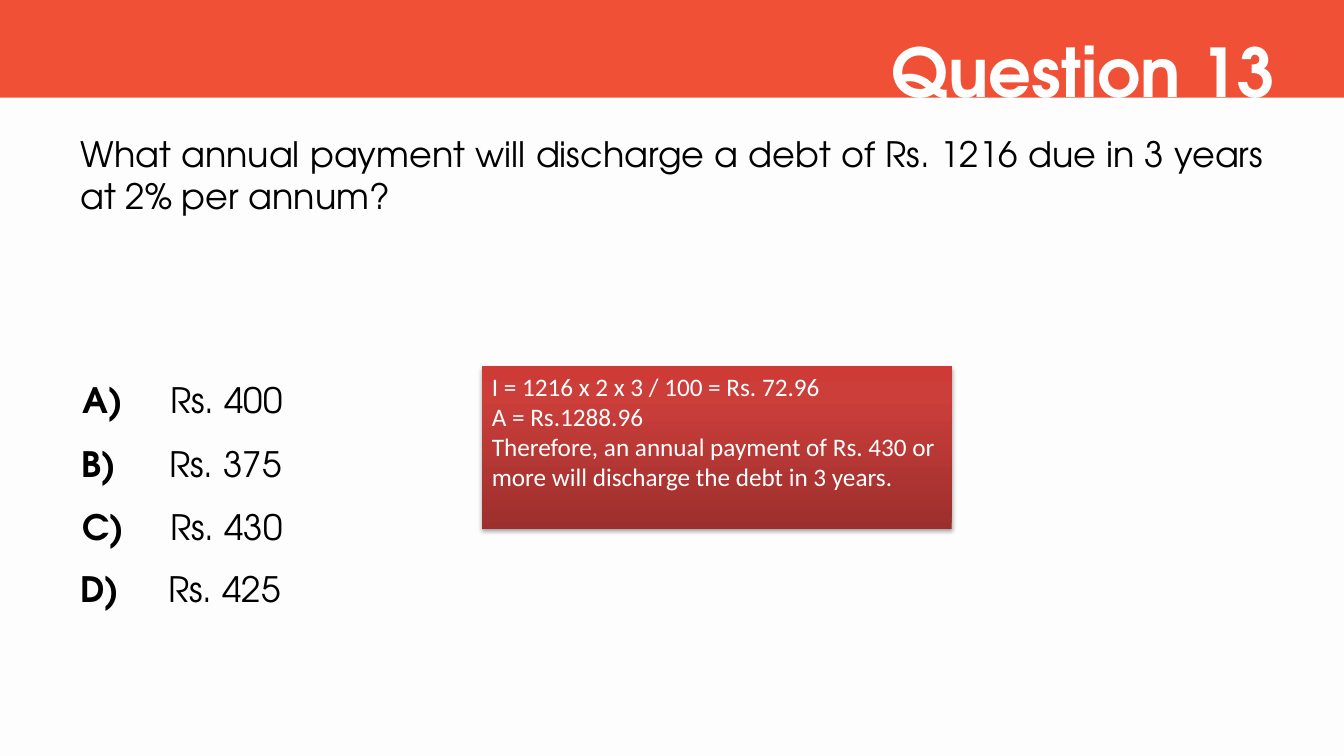
from copy import deepcopy

from lxml import etree
from pptx import Presentation
from pptx.dml.color import RGBColor
from pptx.enum.shapes import MSO_SHAPE
from pptx.enum.text import MSO_ANCHOR, MSO_AUTO_SIZE, PP_ALIGN
from pptx.oxml.ns import qn
from pptx.util import Inches, Pt

RECTANGLE = MSO_SHAPE.RECTANGLE
TOP = MSO_ANCHOR.TOP
NO_AUTOFIT = MSO_AUTO_SIZE.NONE
LEFT, RIGHT, JUSTIFY = PP_ALIGN.LEFT, PP_ALIGN.RIGHT, PP_ALIGN.JUSTIFY

HEADING_FONT = "TeX Gyre Adventor"
BODY_FONT = "Calibri"
BLACK, WHITE = "000000", "FFFFFF"
TITLE_ONLY = 5

QUESTION = ("What annual payment will discharge a debt of Rs. 1216 "
            "due in 3 years at 2% per annum?")
OPTIONS = [
    ("A)", "Rs. 400", 0.72, 1.59, 3.5),
    ("B)", "Rs. 375", 0.71, 1.58, 4.13),
    ("C)", "Rs. 430", 0.72, 1.59, 4.76),
    ("D)", "Rs. 425", 0.7, 1.57, 5.37),
]
SOLUTION = ("I = 1216 x 2 x 3 / 100 = Rs. 72.96\n"
            "A = Rs.1288.96\n"
            "Therefore, an annual payment of Rs. 430 or more "
            "will discharge the debt in 3 years.")
SOLUTION_STOPS = [(0, "9C2F2D"), (0.8, "CB3E3A"), (1, "CE3B37")]


def color(value):
    """Return the colour for a hex string."""
    return RGBColor.from_string(value)


def write(shape, text, size, font=HEADING_FONT, text_color=BLACK, bold=False,
          align=LEFT, line_spacing=1.0):
    """Put one formatted paragraph at the top of a shape."""
    frame = shape.text_frame
    frame.word_wrap = True
    frame.auto_size = NO_AUTOFIT
    frame.vertical_anchor = TOP
    paragraph = frame.paragraphs[0]
    paragraph.text = text
    paragraph.alignment = align
    paragraph.line_spacing = line_spacing
    paragraph.font.name = font
    paragraph.font.size = Pt(size)
    paragraph.font.bold = bold
    paragraph.font.color.rgb = color(text_color)


def add_text(slide, left, top, width, height, text, **style):
    """Add a text box in the size of the question and its options."""
    box = slide.shapes.add_textbox(Inches(left), Inches(top), Inches(width), Inches(height))
    write(box, text, 25, **style)


def add_rectangle(slide, left, top, width, height):
    """Add a rectangle without outline or shadow."""
    shape = slide.shapes.add_shape(
        RECTANGLE, Inches(left), Inches(top), Inches(width), Inches(height))
    shape.shadow.inherit = False
    shape.line.fill.background()
    return shape


def set_gradient(shape, stops):
    """Fill a shape with a three-stop gradient running upwards."""
    shape.fill.gradient()
    shape.fill.gradient_angle = 90
    stop_list = shape._element.spPr.find(".//" + qn("a:gsLst"))
    stop_list.append(deepcopy(stop_list[-1]))
    for stop, (position, value) in zip(shape.fill.gradient_stops, stops):
        stop.position = position
        stop.color.rgb = color(value)


def set_shadow(shape, value, opacity, blur, distance):
    """Give a shape a soft shadow that falls straight down."""
    effects = shape._element.spPr.find(qn("a:effectLst"))
    shadow = etree.SubElement(
        effects, qn("a:outerShdw"), blurRad=str(Pt(blur)), dist=str(Pt(distance)),
        dir="5400000", rotWithShape="0")
    shade = etree.SubElement(shadow, qn("a:srgbClr"), val=value)
    etree.SubElement(shade, qn("a:alpha"), val=str(opacity * 1000))


def add_header(slide):
    """Add the coloured band and place the title over it."""
    band = add_rectangle(slide, 0, 0, 13.33, 0.97)
    band.fill.solid()
    band.fill.fore_color.rgb = color("F05136")
    title = slide.shapes.title
    title.left, title.top = Inches(4.25), Inches(0.25)
    title.width, title.height = Inches(8.5), Inches(0.91)
    write(title, "Question 13", 48, text_color=WHITE, bold=True, align=RIGHT)
    band._element.addnext(title._element)


def add_solution(slide):
    """Add the worked solution in its shaded box."""
    box = add_rectangle(slide, 4.78, 3.63, 4.66, 1.62)
    set_gradient(box, SOLUTION_STOPS)
    set_shadow(box, BLACK, 35, 3.1, 1.8)
    write(box, SOLUTION, 18, font=BODY_FONT, text_color=WHITE)


def main():
    """Build and save the question slide."""
    presentation = Presentation()
    presentation.slide_width, presentation.slide_height = Inches(13.33), Inches(7.5)
    slide = presentation.slides.add_slide(presentation.slide_layouts[TITLE_ONLY])
    slide.background.fill.solid()
    slide.background.fill.fore_color.rgb = color("FDFDFD")
    add_header(slide)
    add_text(slide, 0.7, 1.27, 11.93, 0.94, QUESTION, align=JUSTIFY)
    for letter, answer, letter_left, answer_left, top in OPTIONS:
        add_text(slide, letter_left, top, 0.76, 0.68, letter, bold=True, line_spacing=1.5)
        add_text(slide, answer_left, top, 11.04, 0.68, answer, line_spacing=1.5)
    add_solution(slide)
    presentation.save("out.pptx")


if __name__ == "__main__":
    main()
